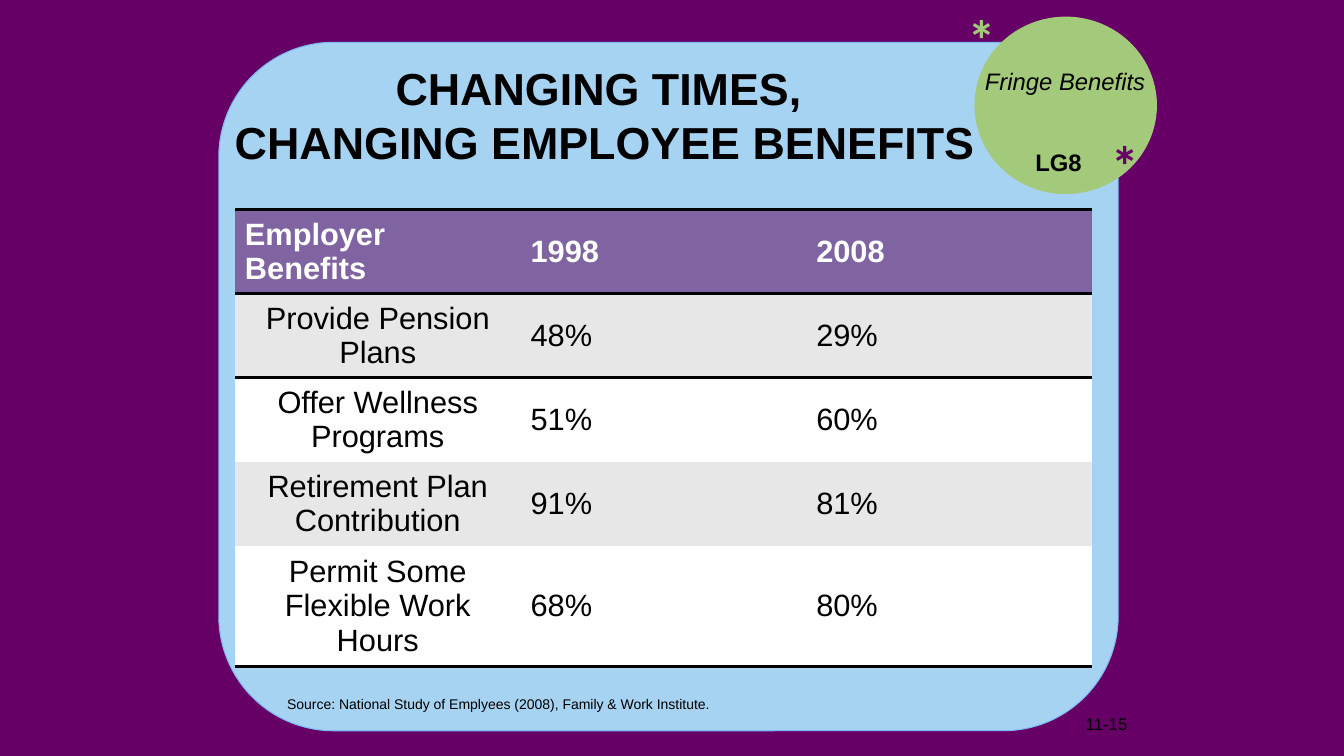
"""Build the slide on changing employee benefits, with a comparison table."""
from lxml.etree import SubElement
from pptx import Presentation
from pptx.dml.color import RGBColor
from pptx.enum.shapes import MSO_SHAPE as Shape
from pptx.enum.text import MSO_ANCHOR as Anchor, PP_ALIGN as Align
from pptx.oxml.ns import qn
from pptx.util import Inches, Pt

COLORS = {
    "background": "660066", "panel": "A7D3F3", "panel_line": "7CBBF4",
    "badge": "A2CA7A", "header": "8064A2", "band": "E7E7E7",
    "white": "FFFFFF", "black": "000000",
}
NO_STYLE_NO_GRID = "{2D5ABB26-0587-4C30-8999-92F81FD0307C}"


def color(name):
    return RGBColor.from_string(COLORS[name])


def write(paragraph, text, ink="black", **font_format):
    paragraph.text = text
    for run in paragraph.runs:
        run.font.color.rgb = color(ink)
        for name, value in {"name": "Arial", **font_format}.items():
            setattr(run.font, name, value)


presentation = Presentation()
presentation.slide_width = Inches(13.33)
presentation.slide_height = Inches(7.5)
slide = presentation.slides.add_slide(presentation.slide_layouts[6])
slide.background.fill.solid()
slide.background.fill.fore_color.rgb = color("background")

for kind, box, fill, line in [
    (Shape.ROUNDED_RECTANGLE, (2.17, 0.42, 8.92, 6.83), "panel", "panel_line"),
    (Shape.OVAL, (9.67, 0.17, 1.8, 1.75), "badge", "badge"),
]:
    shape = slide.shapes.add_shape(kind, *map(Inches, box))
    shape.shadow.inherit = False
    shape.fill.solid()
    shape.fill.fore_color.rgb = color(fill)
    shape.line.color.rgb = color(line)
    shape.line.width = Pt(0.75)

star = {"name": "Calibri", "size": Pt(40), "bold": True}
for text, box, font_format in [
    ("*", (10.92, 1.25, 0.55, 0.77), {**star, "ink": "background"}),
    ("*", (9.5, 0, 0.67, 0.77), {**star, "ink": "badge"}),
    ("LG8", (10.17, 1.42, 0.75, 0.38), {"size": Pt(17), "bold": True}),
    ("Fringe Benefits", (9.67, 0.61, 1.83, 0.38), {"size": Pt(17), "italic": True}),
    ("Source: National Study of Emplyees (2008), Family & Work Institute.",
     (2.75, 6.85, 5.83, 0.27), {"size": Pt(10)}),
    ("11-15", (10.67, 7.03, 1, 0.3), {"size": Pt(12)}),
]:
    frame = slide.shapes.add_textbox(*map(Inches, box)).text_frame
    frame.word_wrap = True
    write(frame.paragraphs[0], text, **font_format)

title = slide.shapes.add_textbox(Inches(1.75), Inches(0.33), Inches(8.5), Inches(1.61))
title.text_frame.word_wrap = True
title.text_frame.vertical_anchor = Anchor.MIDDLE
title_paragraph = title.text_frame.paragraphs[0]
title_paragraph.alignment = Align.CENTER
write(title_paragraph, "CHANGING TIMES, \nCHANGING EMPLOYEE BENEFITS",
      size=Pt(32), bold=True)

benefits = [
    ("Employer Benefits", "1998", "2008"),
    ("Provide Pension Plans", "48%", "29%"),
    ("Offer Wellness Programs", "51%", "60%"),
    ("Retirement Plan Contribution", "91%", "81%"),
    ("Permit Some Flexible Work Hours", "68%", "80%"),
]
row_heights = [0.83, 0.83, 0.83, 0.83, 1.2]
row_fills = ["header", "band", "white", "band", "white"]
row_borders = {0: ("a:lnT", "a:lnB"), 1: ("a:lnT",), 4: ("a:lnB",)}

table_frame = slide.shapes.add_table(
    len(benefits), 3, Inches(2.33), Inches(2.08), Inches(8.5), Inches(4.53))
table = table_frame.table
table_properties = table_frame.element.graphic.graphicData.tbl.tblPr
table_properties.find(qn("a:tableStyleId")).text = NO_STYLE_NO_GRID
for column in table.columns:
    column.width = Inches(8.5 / 3)

for row, values in enumerate(benefits):
    table.rows[row].height = Inches(row_heights[row])
    is_header = row == 0
    for column, value in enumerate(values):
        cell = table.cell(row, column)
        cell.vertical_anchor = Anchor.MIDDLE
        cell_properties = cell._tc.get_or_add_tcPr()
        for side in row_borders.get(row, ()):
            border = SubElement(cell_properties, qn(side), w=str(Pt(2)))
            border_fill = SubElement(border, qn("a:solidFill"))
            SubElement(border_fill, qn("a:srgbClr"), val=COLORS["black"])
        cell.fill.solid()
        cell.fill.fore_color.rgb = color(row_fills[row])
        paragraph = cell.text_frame.paragraphs[0]
        if column == 0 and not is_header:
            paragraph.alignment = Align.CENTER
        write(paragraph, value, "white" if is_header else "black",
              size=Pt(22), bold=is_header)

presentation.save("out.pptx")
